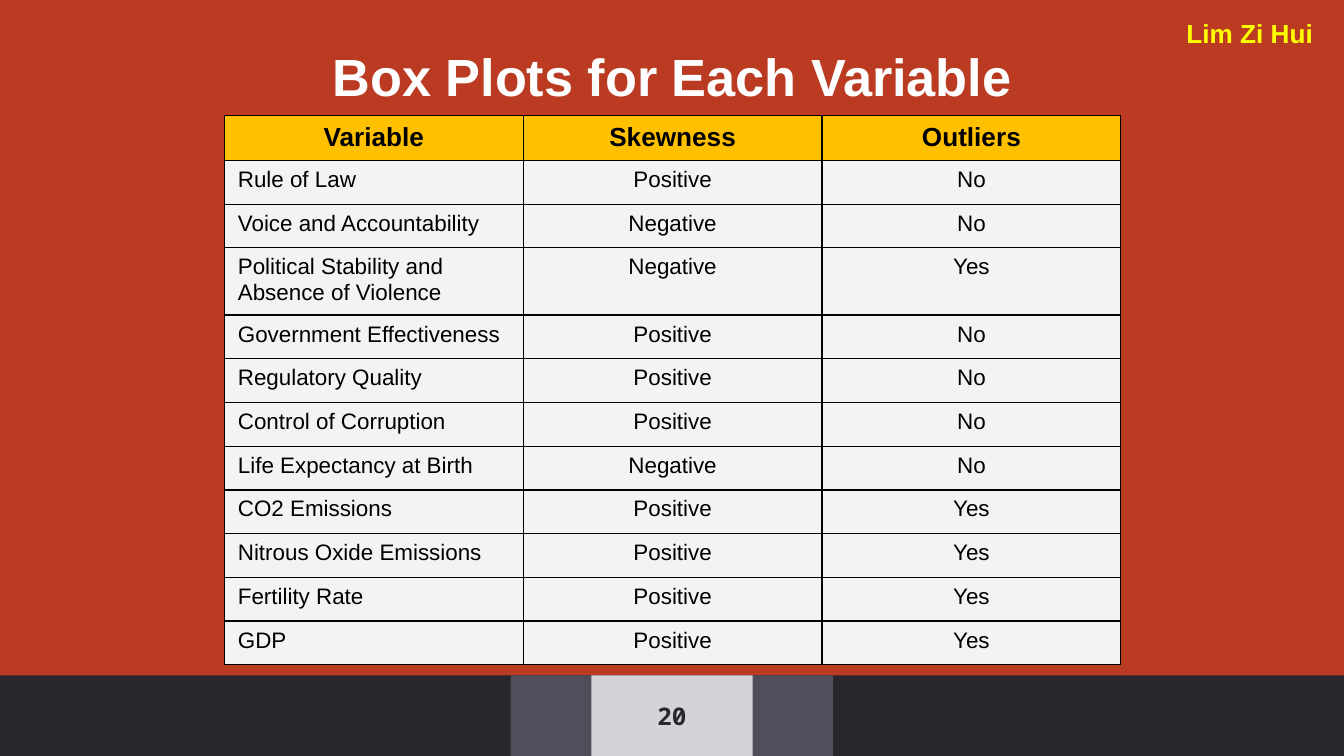
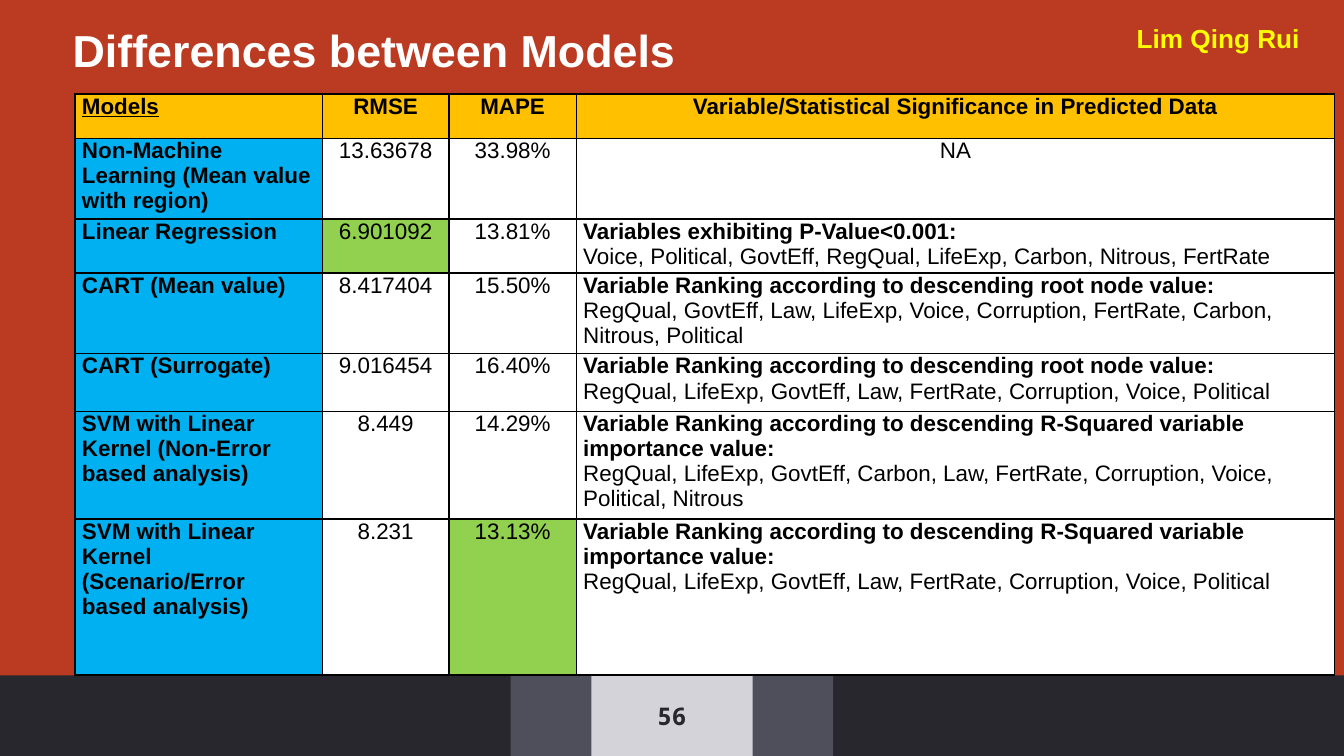
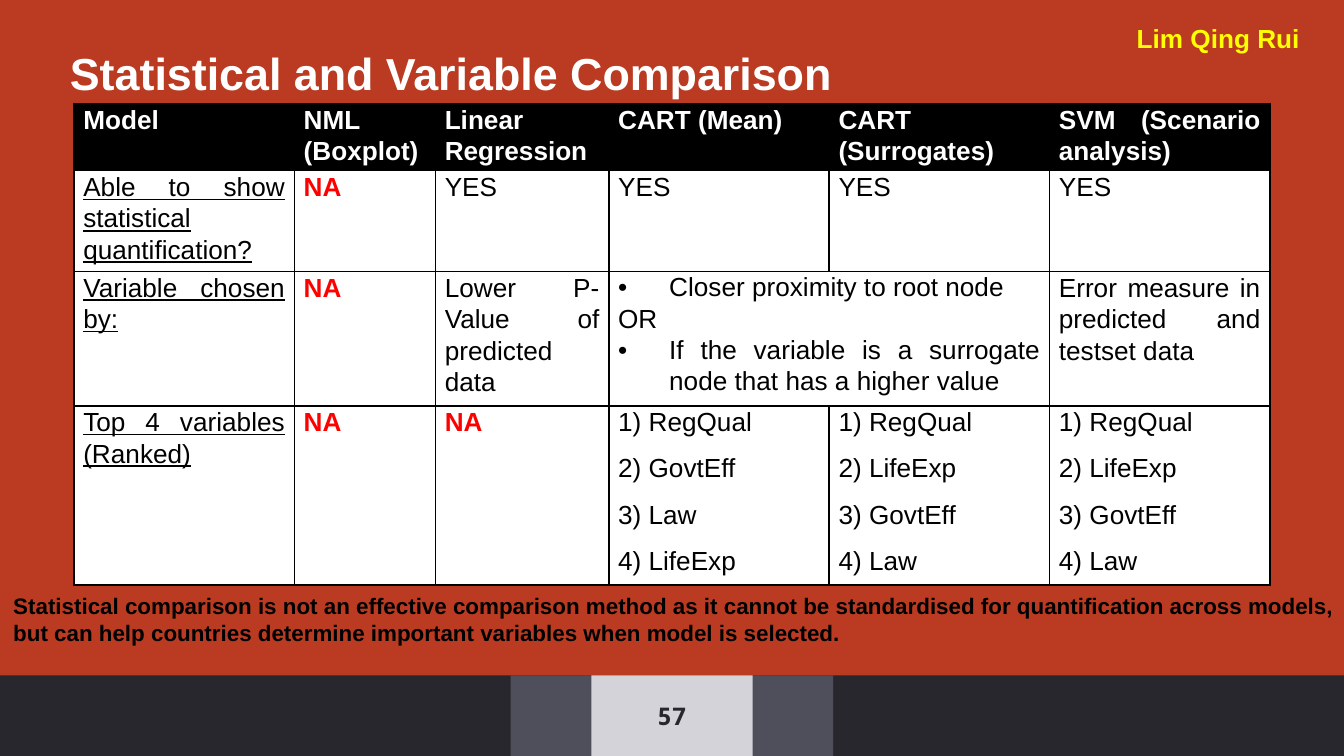
from dataclasses import dataclass
from typing import NamedTuple

from lxml import etree
from pptx import Presentation
from pptx.dml.color import RGBColor
from pptx.enum.shapes import MSO_SHAPE
from pptx.enum.text import MSO_ANCHOR, MSO_AUTO_SIZE, PP_ALIGN
from pptx.oxml.ns import qn
from pptx.util import Inches, Pt

LEFT, CENTER, JUSTIFY = PP_ALIGN.LEFT, PP_ALIGN.CENTER, PP_ALIGN.JUSTIFY
TOP, MIDDLE = MSO_ANCHOR.TOP, MSO_ANCHOR.MIDDLE
RECTANGLE = MSO_SHAPE.RECTANGLE
GROW = MSO_AUTO_SIZE.SHAPE_TO_FIT_TEXT


@dataclass(frozen=True)
class Theme:
    """Colours, fonts and type sizes of the deck."""
    background: str = "BA3B21"
    band: str = "27272D"
    band_middle: str = "4F4F5C"
    band_center: str = "D4D3D9"
    white: str = "FFFFFF"
    black: str = "000000"
    author: str = "FFFF00"
    header: str = "FFC000"
    row: str = "F3F3F3"
    model: str = "00B0F0"
    best: str = "92D050"
    missing: str = "FF0000"
    font: str = "Arial"
    number_font: str = "Noto Sans Mono"
    title_large: int = 28
    title: int = 24
    large: int = 14
    number: int = 13
    body: int = 12


class Box(NamedTuple):
    """A region of the page in inches."""
    left: float
    top: float
    width: float
    height: float

    def lengths(self):
        """Return the four sides as lengths."""
        return [Inches(side) for side in self]


THEME = Theme()
PAGE = Box(0, 0, 10, 10 * 9 / 16)
BAND = Box(0, PAGE.height - 0.6, PAGE.width, 0.6)
AUTHOR_BOX = Box(8.36, 0.12, 1.66, 0.34)

SKEWNESS = [
    ("Variable", "Skewness", "Outliers"),
    ("Rule of Law", "Positive", "No"),
    ("Voice and Accountability", "Negative", "No"),
    ("Political Stability and Absence of Violence", "Negative", "Yes"),
    ("Government Effectiveness", "Positive", "No"),
    ("Regulatory Quality", "Positive", "No"),
    ("Control of Corruption", "Positive", "No"),
    ("Life Expectancy at Birth", "Negative", "No"),
    ("CO2 Emissions", "Positive", "Yes"),
    ("Nitrous Oxide Emissions", "Positive", "Yes"),
    ("Fertility Rate", "Positive", "Yes"),
    ("GDP", "Positive", "Yes"),
]

ROOT_RANKING = "Variable Ranking according to descending root node value:\n"
SQUARED_RANKING = "Variable Ranking according to descending R-Squared variable importance value:\n"
SHORT_RANKING = "RegQual, LifeExp, GovtEff, Law, FertRate, Corruption, Voice, Political"
MODELS = [
    ("Models", "RMSE", "MAPE", "Variable/Statistical Significance in Predicted Data"),
    ("Non-Machine Learning (Mean value with region)", "13.63678", "33.98%", "NA"),
    ("Linear Regression", "6.901092", "13.81%",
     "Variables exhibiting P-Value<0.001:\n"
     "Voice, Political, GovtEff, RegQual, LifeExp, Carbon, Nitrous, FertRate"),
    ("CART (Mean value)", "8.417404", "15.50%",
     ROOT_RANKING + "RegQual, GovtEff, Law, LifeExp, Voice, Corruption, FertRate, "
     "Carbon, Nitrous, Political"),
    ("CART (Surrogate)", "9.016454", "16.40%", ROOT_RANKING + SHORT_RANKING),
    ("SVM with Linear Kernel (Non-Error based analysis)", "8.449", "14.29%",
     SQUARED_RANKING + "RegQual, LifeExp, GovtEff, Carbon, Law, FertRate, Corruption, "
     "Voice, Political, Nitrous"),
    ("SVM with Linear Kernel (Scenario/Error based analysis)", "8.231", "13.13%",
     SQUARED_RANKING + SHORT_RANKING),
]
BEST_VALUES = {"6.901092", "13.13%"}

TOP_LIFE = "1) RegQual\n2) LifeExp\n3) GovtEff\n4) Law"
COMPARISON = [
    ("Model", "NML (Boxplot)", "Linear Regression", "CART (Mean)",
     "CART (Surrogates)", "SVM (Scenario analysis)"),
    ("Able to show statistical quantification?", "NA", "YES", "YES", "YES", "YES"),
    ("Variable chosen by:", "NA", "Lower P-Value of predicted data",
     "Closer proximity to root node\nOR\n"
     "If the variable is a surrogate node that has a higher value",
     "", "Error measure in predicted and testset data"),
    ("Top 4 variables (Ranked)", "NA", "NA",
     "1) RegQual\n2) GovtEff\n3) Law\n4) LifeExp", TOP_LIFE, TOP_LIFE),
]


def color(value):
    """Turn a hex string into a colour."""
    return RGBColor.from_string(value)


def style_para(para, size, ink, bold=False, align=LEFT, underline=False, font=THEME.font):
    """Format a paragraph and its runs."""
    para.alignment = align
    for span in para.runs:
        span.font.name = font
        span.font.size = Pt(size)
        span.font.color.rgb = color(ink)
        span.font.bold = bold
        span.font.underline = underline


def write_text(shape, text, size, ink, align=LEFT, anchor=TOP, font=THEME.font):
    """Put bold wrapped text into a shape."""
    frame = shape.text_frame
    frame.word_wrap = True
    frame.text = text
    frame.vertical_anchor = anchor
    style_para(frame.paragraphs[0], size, ink, True, align, font=font)
    return frame


def add_label(page, box, text, size, ink):
    """Add a text box that grows with its text."""
    shape = page.shapes.add_textbox(*box.lengths())
    write_text(shape, text, size, ink).auto_size = GROW


def place_title(page, box, text, size=THEME.title, align=LEFT):
    """Move and fill the title placeholder."""
    title = page.shapes.title
    title.left, title.top, title.width, title.height = box.lengths()
    write_text(title, text, size, THEME.white, align).auto_size = GROW


def center_part(box, width):
    """Return the centred part of a box."""
    return Box(box.left + (box.width - width) / 2, box.top, width, box.height)


def build_master(deck, page):
    """Give the master its background and footer band."""
    master = deck.slide_master
    master.background.fill.solid()
    master.background.fill.fore_color.rgb = color(THEME.background)
    bands = [(BAND.width, THEME.band), (2.4, THEME.band_middle), (1.2, THEME.band_center)]
    for index, (width, fill) in enumerate(bands):
        shape = page.shapes.add_shape(RECTANGLE, *center_part(BAND, width).lengths())
        shape.shadow.inherit = False
        shape.fill.solid()
        shape.fill.fore_color.rgb = color(fill)
        shape.line.fill.background()
        master.shapes.element.insert(2 + index, shape.element)


def add_page_number(page, box, number):
    """Write the page number in the middle of the band."""
    shape = page.shapes.add_textbox(*box.lengths())
    frame = write_text(shape, number, THEME.number, THEME.band, CENTER, MIDDLE,
                       THEME.number_font)
    frame.margin_left = frame.margin_right = Inches(0.1)
    frame.margin_top = frame.margin_bottom = Inches(0.1)


def border_cell(cell, width):
    """Draw the four black borders of a cell."""
    properties = cell._tc.get_or_add_tcPr()
    for index, side in enumerate(("a:lnL", "a:lnR", "a:lnT", "a:lnB")):
        line = etree.Element(qn(side), w=str(Pt(width)))
        fill = etree.SubElement(line, qn("a:solidFill"))
        etree.SubElement(fill, qn("a:srgbClr"), val=THEME.black)
        properties.insert(index, line)


def add_grid(page, box, rows, widths, heights, border, style_cell, margins=None):
    """Add a table and style each cell with the given function."""
    table = page.shapes.add_table(len(rows), len(widths), *box.lengths()).table
    table.horz_banding = False
    for column, width in zip(table.columns, widths):
        column.width = Inches(width)
    for line, height in zip(table.rows, heights):
        line.height = Inches(height)
    for row, values in enumerate(rows):
        for column, value in enumerate(values):
            cell = table.cell(row, column)
            cell.text_frame.text = value
            if margins is not None:
                cell.margin_left = cell.margin_right = Inches(margins)
                cell.margin_top = cell.margin_bottom = 0
            fill = style_cell(cell.text_frame.paragraphs, row, column, value)
            cell.fill.solid()
            cell.fill.fore_color.rgb = color(fill)
            border_cell(cell, border)
    return table


def style_skewness(paras, row, column, value):
    """Style a cell of the skewness table and return its fill."""
    header = row == 0
    size = THEME.large if header else THEME.body
    align = CENTER if header or column else LEFT
    style_para(paras[0], size, THEME.black, header, align)
    return THEME.header if header else THEME.row


def style_model(paras, row, column, value):
    """Style a cell of the models table and return its fill."""
    heading = row == 0 or column == 0
    corner = row == 0 and column == 0
    pair = len(paras) > 1
    align = JUSTIFY if corner else LEFT if column == 0 or pair else CENTER
    for index, para in enumerate(paras):
        bold = heading or (pair and index == 0)
        style_para(para, THEME.body, THEME.black, bold, align, corner)
    if row == 0:
        return THEME.header
    if column == 0:
        return THEME.model
    return THEME.best if value in BEST_VALUES else THEME.white


def style_comparison(paras, row, column, value):
    """Style a cell of the comparison table and return its fill."""
    header, missing = row == 0, value == "NA"
    ink = THEME.white if header else THEME.missing if missing else THEME.black
    for para in paras:
        style_para(para, THEME.large, ink, header or missing, JUSTIFY,
                   column == 0 and not header)
        para.line_spacing = 1.07
        para.space_after = Pt(8)
    return THEME.black if header else THEME.white


def add_bullet(para):
    """Give a paragraph a hanging black bullet."""
    properties = para._p.get_or_add_pPr()
    properties.set("marL", str(Inches(0.38)))
    properties.set("indent", str(-Inches(0.38)))
    tint = etree.SubElement(properties, qn("a:buClr"))
    etree.SubElement(tint, qn("a:srgbClr"), val=THEME.black)
    etree.SubElement(properties, qn("a:buFont"), typeface=THEME.font)
    etree.SubElement(properties, qn("a:buChar"), char="•")


def build_skewness(page):
    """Build the page on skewness and outliers."""
    place_title(page, Box(1.69, 0.28, 6.62, 0.57), "Box Plots for Each Variable",
                THEME.title_large, CENTER)
    add_label(page, Box(8.73, 0.08, 1.23, 0.34), "Lim Zi Hui", THEME.large, THEME.author)
    box = Box(1.67, 0.86, 6.67, 4.08)
    tall_row, tall = 3, 0.5
    heights = [(box.height - tall) / (len(SKEWNESS) - 1)] * len(SKEWNESS)
    heights[tall_row] = tall
    add_grid(page, box, SKEWNESS, [box.width / 3] * 3, heights, 0.75, style_skewness)


def build_models(page):
    """Build the page on the differences between models."""
    place_title(page, Box(0.44, 0.12, 7.16, 0.5), "Differences between Models")
    add_label(page, AUTHOR_BOX, "Lim Qing Rui", THEME.large, THEME.author)
    add_grid(page, Box(0.56, 0.7, 9.36, 4.32), MODELS, [1.84, 0.94, 0.95, 5.64],
             [0.33, 0.6, 0.4, 0.6, 0.43, 0.8, 1.16], 1, style_model, 0.05)


def build_comparison(page):
    """Build the page on the statistical comparison."""
    place_title(page, Box(0.42, 0.29, 7.16, 0.5), "Statistical and Variable Comparison")
    add_label(page, AUTHOR_BOX, "Lim Qing Rui", THEME.large, THEME.author)
    table = add_grid(page, Box(0.55, 0.77, 8.89, 3.58), COMPARISON,
                     [1.64, 1.05, 1.29, 1.64, 1.64, 1.64], [0.5, 0.75, 1, 1.33],
                     1, style_comparison, 0.07)
    choice = table.cell(2, 3)
    choice.merge(table.cell(2, 4))
    first, middle, last = choice.text_frame.paragraphs
    for para in (first, middle, last):
        para.line_spacing = 1.06
    first.space_after = middle.space_after = Pt(0)
    add_bullet(first)
    add_bullet(last)
    add_label(page, Box(0, 4.36, 10.18, 0.5),
              "Statistical comparison is not an effective comparison method as it cannot be "
              "standardised for quantification across models, but can help countries "
              "determine important variables when model is selected.",
              THEME.body, THEME.black)


def main():
    """Build and save the deck."""
    deck = Presentation()
    deck.slide_width, deck.slide_height = Inches(PAGE.width), Inches(PAGE.height)
    title_only = deck.slide_layouts[5]
    builders = [(build_skewness, "20"), (build_models, "56"), (build_comparison, "57")]
    for index, (build, number) in enumerate(builders):
        page = deck.slides.add_slide(title_only)
        if index == 0:
            build_master(deck, page)
        add_page_number(page, center_part(BAND, 1.2), number)
        build(page)
    deck.save("out.pptx")


main()
